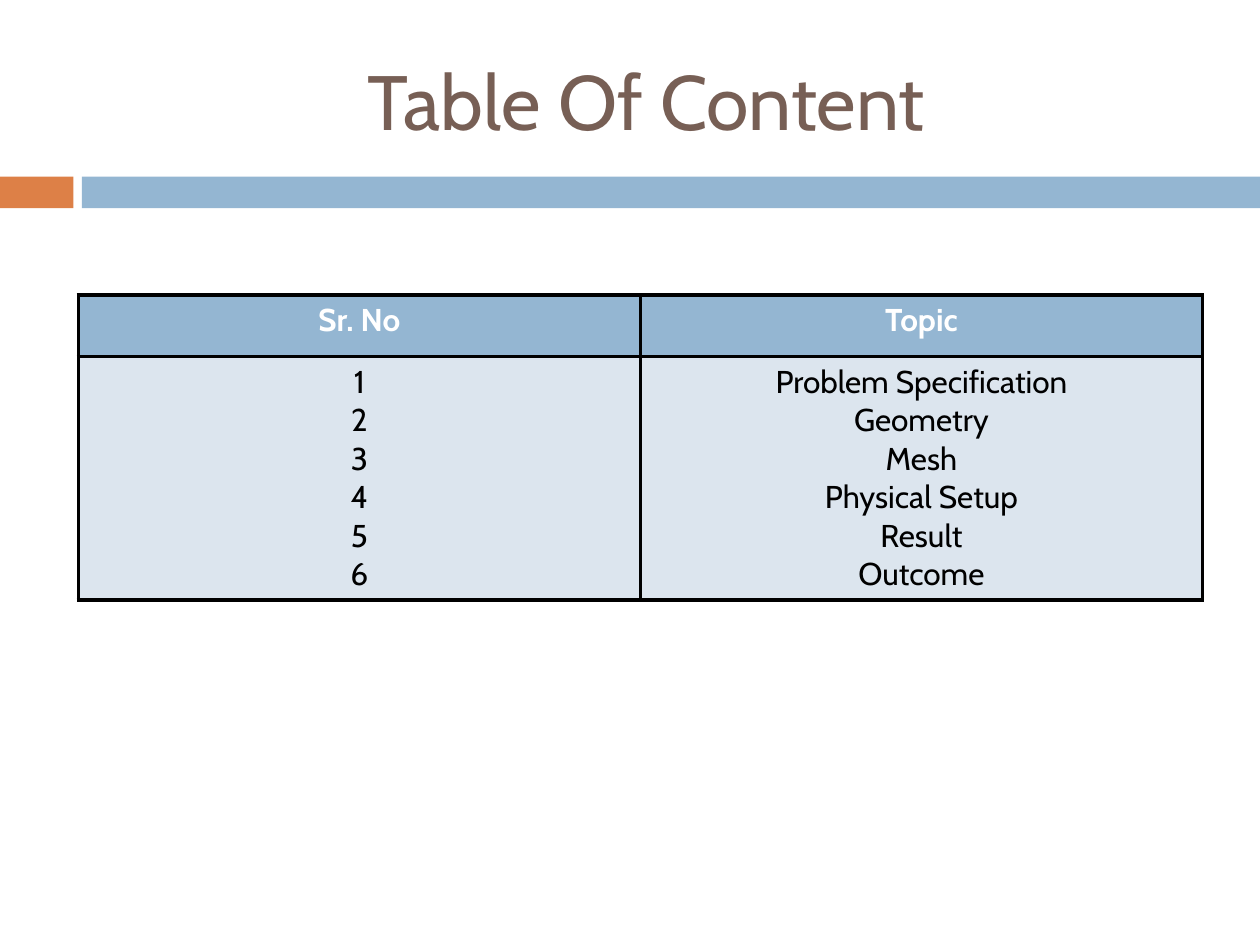
from lxml import etree
from pptx import Presentation
from pptx.dml.color import RGBColor
from pptx.enum.shapes import MSO_SHAPE
from pptx.enum.text import MSO_ANCHOR, PP_ALIGN
from pptx.oxml.ns import qn
from pptx.util import Cm, Pt

RECT = MSO_SHAPE.RECTANGLE
MID = MSO_ANCHOR.MIDDLE
MITTE = PP_ALIGN.CENTER

BLUE = RGBColor(0x94, 0xB6, 0xD2)
PALE = RGBColor(0xDC, 0xE5, 0xEE)
RUST = RGBColor(0xDD, 0x80, 0x47)
BROWN = RGBColor(0x77, 0x5F, 0x55)
WHITE = RGBColor(0xFF, 0xFF, 0xFF)
BLACK = RGBColor(0, 0, 0)
FONT = "Cabin"

TITLE = "Table Of Content"
HEADS = ["Sr. No", "Topic"]
TOPICS = ["Problem Specification", "Geometry", "Mesh",
          "Physical Setup", "Result", "Outcome"]
BARS = [(0, 1.48, RUST), (1.65, 23.75, BLUE)]
WIDE = 11.33
HIGH = [1.24, 4.9]


def style(frame, size, color, bold=False):
    for para in frame.paragraphs:
        para.alignment = MITTE
        font = para.font
        font.name, font.size, font.bold = FONT, Pt(size), bold
        font.color.rgb = color


def border(cell, width, color):
    props = cell._tc.get_or_add_tcPr()
    for spot, side in enumerate(("lnL", "lnR", "lnT", "lnB")):
        line = etree.Element(qn(f"a:{side}"), w=str(Pt(width)))
        fill = etree.SubElement(line, qn("a:solidFill"))
        etree.SubElement(fill, qn("a:srgbClr"), val=str(color))
        props.insert(spot, line)


deck = Presentation()
deck.slide_width, deck.slide_height = Cm(25.4), Cm(19.05)
slide = deck.slides.add_slide(deck.slide_layouts[5])

for left, width, color in BARS:
    bar = slide.shapes.add_shape(RECT, Cm(left), Cm(3.56), Cm(width), Cm(0.64))
    bar.shadow.inherit = False
    bar.fill.solid()
    bar.fill.fore_color.rgb = color
    bar.line.fill.background()

title = slide.shapes.title
title.left, title.top = Cm(1.7), Cm(0.64)
title.width, title.height = Cm(22.66), Cm(2.74)
title.text_frame.text = TITLE
title.text_frame.vertical_anchor = MID
style(title.text_frame, 44, BROWN)

table = slide.shapes.add_table(
    2, 2, Cm(1.58), Cm(5.95), Cm(2 * WIDE), Cm(sum(HIGH))).table
for col in table.columns:
    col.width = Cm(WIDE)
for row, height in zip(table.rows, HIGH):
    row.height = Cm(height)

nums = [str(n) for n in range(1, len(TOPICS) + 1)]
rows = [(HEADS, BLUE, WHITE, True),
        (["\n".join(nums), "\n".join(TOPICS)], PALE, BLACK, False)]
for row, (texts, back, ink, bold) in zip(table.rows, rows):
    for cell, text in zip(row.cells, texts):
        cell.text_frame.text = text
        cell.fill.solid()
        cell.fill.fore_color.rgb = back
        style(cell.text_frame, 18, ink, bold)
        border(cell, 2.25, BLACK)

deck.save("out.pptx")
